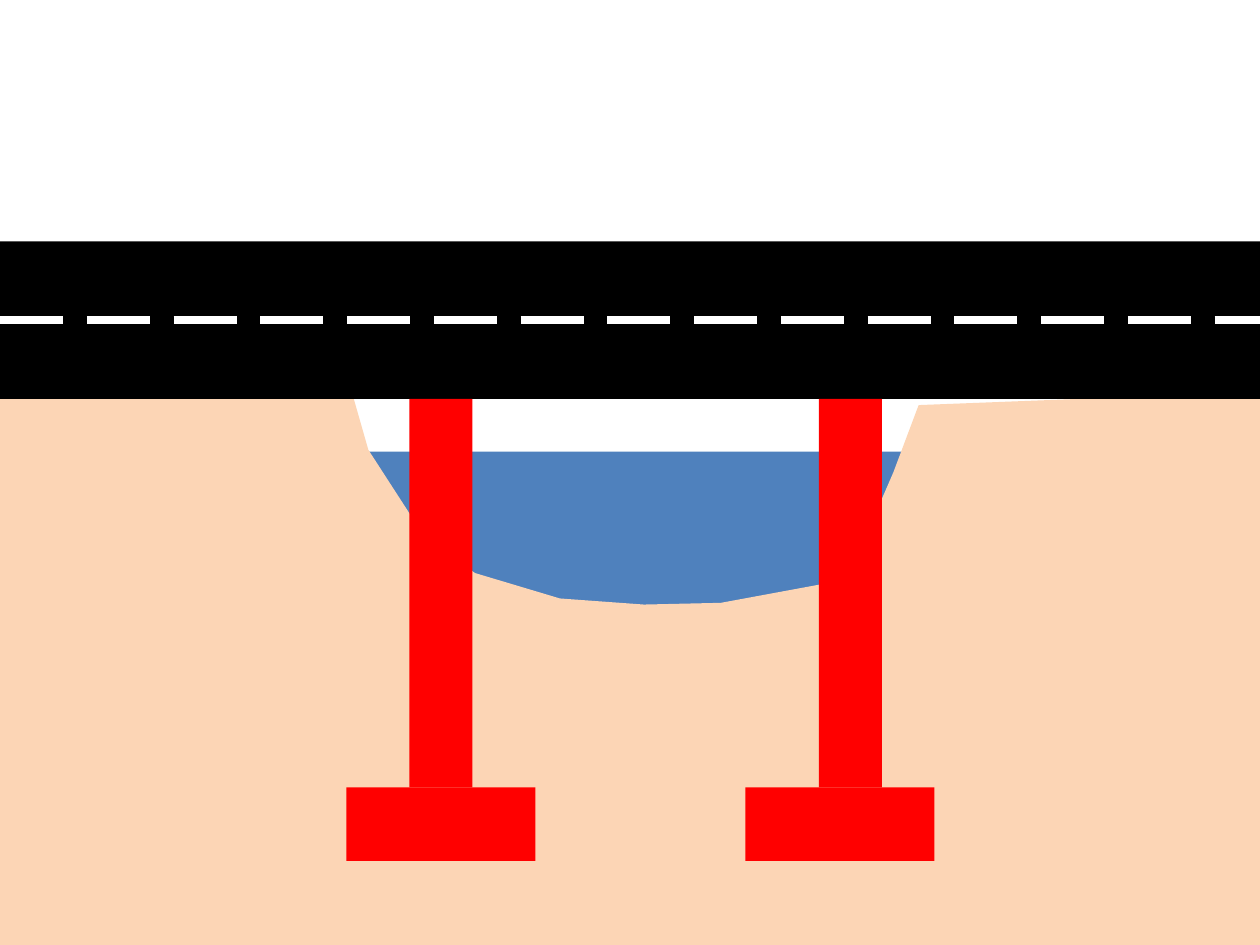
from lxml import etree
from pptx import Presentation
from pptx.dml.color import RGBColor
from pptx.enum.dml import MSO_LINE
from pptx.enum.shapes import MSO_CONNECTOR, MSO_SHAPE
from pptx.oxml.ns import qn
from pptx.util import Pt

RECTANGLE = MSO_SHAPE.RECTANGLE
STRAIGHT = MSO_CONNECTOR.STRAIGHT
LONG_DASH = MSO_LINE.LONG_DASH

WIDTH, HEIGHT = 720, 540
WATER_COLOR, GROUND_COLOR = "4F81BD", "FCD5B5"
ROAD_COLOR, MARKING_COLOR, PIER_COLOR = "000000", "FFFFFF", "FF0000"

WATER = (186, 258, 378, 120)
ROAD = (0, 138, WIDTH, 90)
MARKING_Y, MARKING_WEIGHT = 183, 4.5
GROUND = [
    (0, 226), (200.5, 222), (210.5, 257), (242.5, 306.5), (271.5, 327.5),
    (320, 342), (368, 345.5), (412, 344.5), (471.5, 333.5), (497.5, 300),
    (510.5, 270), (525, 231.5), (WIDTH, 224), (WIDTH, HEIGHT), (0, HEIGHT),
]
COLUMN_LEFTS, COLUMN_WIDTH, COLUMN_HEIGHT = (234, 468), 36, 222
FOOTING_LEFTS, FOOTING_WIDTH, FOOTING_HEIGHT = (198, 426), 108, 42


def color(hex_string):
    return RGBColor.from_string(hex_string)


def paint(shape, fill):
    shape.shadow.inherit = False
    shape.fill.solid()
    shape.fill.fore_color.rgb = color(fill)
    shape.line.fill.background()


def add_block(slide, box, fill):
    paint(slide.shapes.add_shape(RECTANGLE, *map(Pt, box)), fill)


def add_outline(slide, points, fill):
    start, *rest = [(Pt(x), Pt(y)) for x, y in points]
    builder = slide.shapes.build_freeform(*start)
    builder.add_line_segments(rest, close=True)
    paint(builder.convert_to_shape(), fill)


def add_marking(slide):
    marking = slide.shapes.add_connector(
        STRAIGHT, 0, Pt(MARKING_Y), Pt(WIDTH), Pt(MARKING_Y))
    marking.line.color.rgb = color(MARKING_COLOR)
    marking.line.width = Pt(MARKING_WEIGHT)
    marking.line.dash_style = LONG_DASH
    etree.SubElement(marking._element.spPr, qn("a:effectLst"))


def main():
    presentation = Presentation()
    presentation.slide_width, presentation.slide_height = Pt(WIDTH), Pt(HEIGHT)
    slide = presentation.slides.add_slide(presentation.slide_layouts[6])

    add_block(slide, WATER, WATER_COLOR)
    add_outline(slide, GROUND, GROUND_COLOR)
    add_block(slide, ROAD, ROAD_COLOR)
    add_marking(slide)

    column_top = ROAD[1] + ROAD[3]
    footing_top = column_top + COLUMN_HEIGHT
    for left in COLUMN_LEFTS:
        add_block(slide, (left, column_top, COLUMN_WIDTH, COLUMN_HEIGHT), PIER_COLOR)
    for left in FOOTING_LEFTS:
        add_block(slide, (left, footing_top, FOOTING_WIDTH, FOOTING_HEIGHT), PIER_COLOR)

    presentation.save("out.pptx")


if __name__ == "__main__":
    main()
